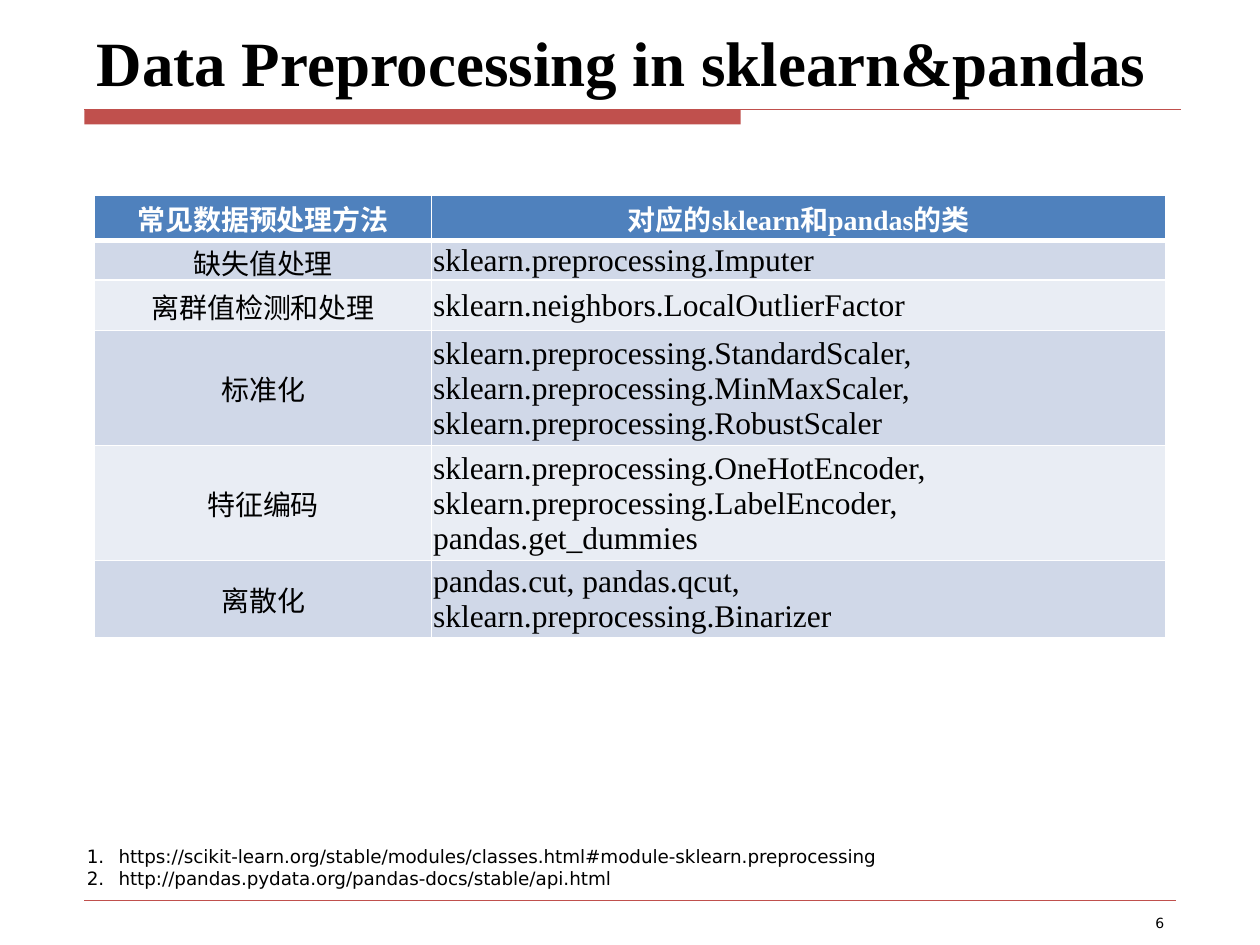
from dataclasses import dataclass

from lxml.etree import SubElement
from pptx import Presentation
from pptx.dml.color import RGBColor
from pptx.enum.shapes import MSO_CONNECTOR, MSO_SHAPE
from pptx.enum.text import MSO_ANCHOR, PP_ALIGN
from pptx.oxml import parse_xml
from pptx.oxml.ns import nsdecls, qn
from pptx.util import Cm, Pt


@dataclass(frozen=True)
class Theme:
    red: str = "C0504D"
    head: str = "4F81BD"
    odd: str = "D0D8E8"
    even: str = "E9EDF4"
    white: str = "FFFFFF"
    black: str = "000000"
    serif: str = "Times New Roman"
    sans: str = "DejaVu Sans"
    title: float = 36
    code: float = 18
    label: float = 16
    note: float = 10.5
    page: float = 8


T = Theme()


def write(frame, lines, size, face, color=T.black, bold=False, align=PP_ALIGN.LEFT):
    """Fill a text frame with one paragraph per line."""
    frame.word_wrap = True
    style = {"size": Pt(size), "name": face, "bold": bold}
    for i, line in enumerate(lines):
        para = frame.paragraphs[0] if i == 0 else frame.add_paragraph()
        para.alignment = align
        run = para.add_run()
        run.text = line
        for key, val in style.items():
            setattr(run.font, key, val)
        run.font.color.rgb = RGBColor.from_string(color)


def rule(left, right, top, width):
    """Draw a level line without a shadow."""
    line = slide.shapes.add_connector(
        MSO_CONNECTOR.STRAIGHT, Cm(left), Cm(top), Cm(right), Cm(top))
    line.line.color.rgb = RGBColor.from_string(T.red)
    line.line.width = Pt(width)
    SubElement(line._element.spPr, qn("a:effectLst"))


deck = Presentation()
deck.slide_width, deck.slide_height = Cm(25.4), Cm(19.05)
slide = deck.slides.add_slide(deck.slide_layouts[6])

# Title bar and rules
bar = slide.shapes.add_shape(
    MSO_SHAPE.RECTANGLE, Cm(1.7), Cm(2.21), Cm(13.23), Cm(0.3))
bar.shadow.inherit = False
bar.fill.solid()
bar.fill.fore_color.rgb = RGBColor.from_string(T.red)
bar.line.fill.background()
rule(1.7, 23.8, 2.21, 0.75)
rule(1.7, 23.7, 18.14, 0.25)

# Title, page number and sources
links = ["https://scikit-learn.org/stable/modules/classes.html#module-sklearn.preprocessing",
         "http://pandas.pydata.org/pandas-docs/stable/api.html"]
texts = [
    ((1.7, 0.53, 22.2, 1.6), MSO_ANCHOR.BOTTOM,
     {"lines": ["Data Preprocessing in sklearn&pandas"], "size": T.title,
      "face": T.serif, "bold": True}),
    ((18.21, 18.31, 5.51, 0.53), MSO_ANCHOR.TOP,
     {"lines": ["6"], "size": T.page, "face": T.sans, "align": PP_ALIGN.RIGHT}),
    ((1.5, 16.92, 22.2, 1.14), MSO_ANCHOR.TOP,
     {"lines": links, "size": T.note, "face": T.sans}),
]
for place, anchor, form in texts:
    box = slide.shapes.add_textbox(*map(Cm, place))
    box.text_frame.vertical_anchor = anchor
    write(box.text_frame, **form)

# Numbers on the sources, the last box made
for para in box.text_frame.paragraphs:
    props = para._p.get_or_add_pPr()
    props.set("marL", str(Cm(0.64)))
    props.set("indent", str(Cm(-0.64)))
    SubElement(props, qn("a:buFont"), typeface="+mj-lt")
    SubElement(props, qn("a:buAutoNum"), type="arabicPeriod")

# Table of methods: row height, label, classes
rows = [
    (0.91, "常见数据预处理方法", ["对应的sklearn和pandas的类"]),
    (0.78, "缺失值处理", ["sklearn.preprocessing.Imputer"]),
    (1.02, "离群值检测和处理", ["sklearn.neighbors.LocalOutlierFactor"]),
    (2.3, "标准化", ["sklearn.preprocessing.StandardScaler,",
                  "sklearn.preprocessing.MinMaxScaler, sklearn.preprocessing.RobustScaler"]),
    (2.3, "特征编码", ["sklearn.preprocessing.OneHotEncoder,",
                   "sklearn.preprocessing.LabelEncoder,",
                   "pandas.get_dummies"]),
    (1.52, "离散化", ["pandas.cut, pandas.qcut,",
                   "sklearn.preprocessing.Binarizer"]),
]
widths = [6.79, 14.8]
table = slide.shapes.add_table(
    len(rows), len(widths), Cm(1.91), Cm(3.94),
    Cm(sum(widths)), Cm(sum(row[0] for row in rows))).table
table.first_row = table.horz_banding = False
for col, width in zip(table.columns, widths):
    col.width = Cm(width)

layout = {"margin_left": Cm(0.03), "margin_right": Cm(0.03), "margin_top": Cm(0.03),
          "margin_bottom": 0, "vertical_anchor": MSO_ANCHOR.MIDDLE}
for r, (height, label, names) in enumerate(rows):
    table.rows[r].height = Cm(height)
    top = r == 0
    fill = T.head if top else T.odd if r % 2 else T.even
    for c, lines in enumerate(([label], names)):
        cell = table.cell(r, c)
        for key, val in layout.items():
            setattr(cell, key, val)
        cell.fill.solid()
        cell.fill.fore_color.rgb = RGBColor.from_string(fill)
        code = c == 1 and not top
        write(cell.text_frame, lines, T.code if code else T.label, T.serif,
              T.white if top else T.black, top,
              PP_ALIGN.LEFT if code else PP_ALIGN.CENTER)

        # White borders, thick around the foot of the header
        thick = {"lnB": top, "lnT": r == 1}
        for i, side in enumerate(("lnL", "lnR", "lnT", "lnB")):
            width = Pt(3 if thick.get(side) else 1)
            edge = parse_xml(
                f'<a:{side} {nsdecls("a")} w="{width}"><a:solidFill>'
                f'<a:srgbClr val="{T.white}"/></a:solidFill></a:{side}>')
            cell._tc.get_or_add_tcPr().insert(i, edge)

deck.save("out.pptx")
